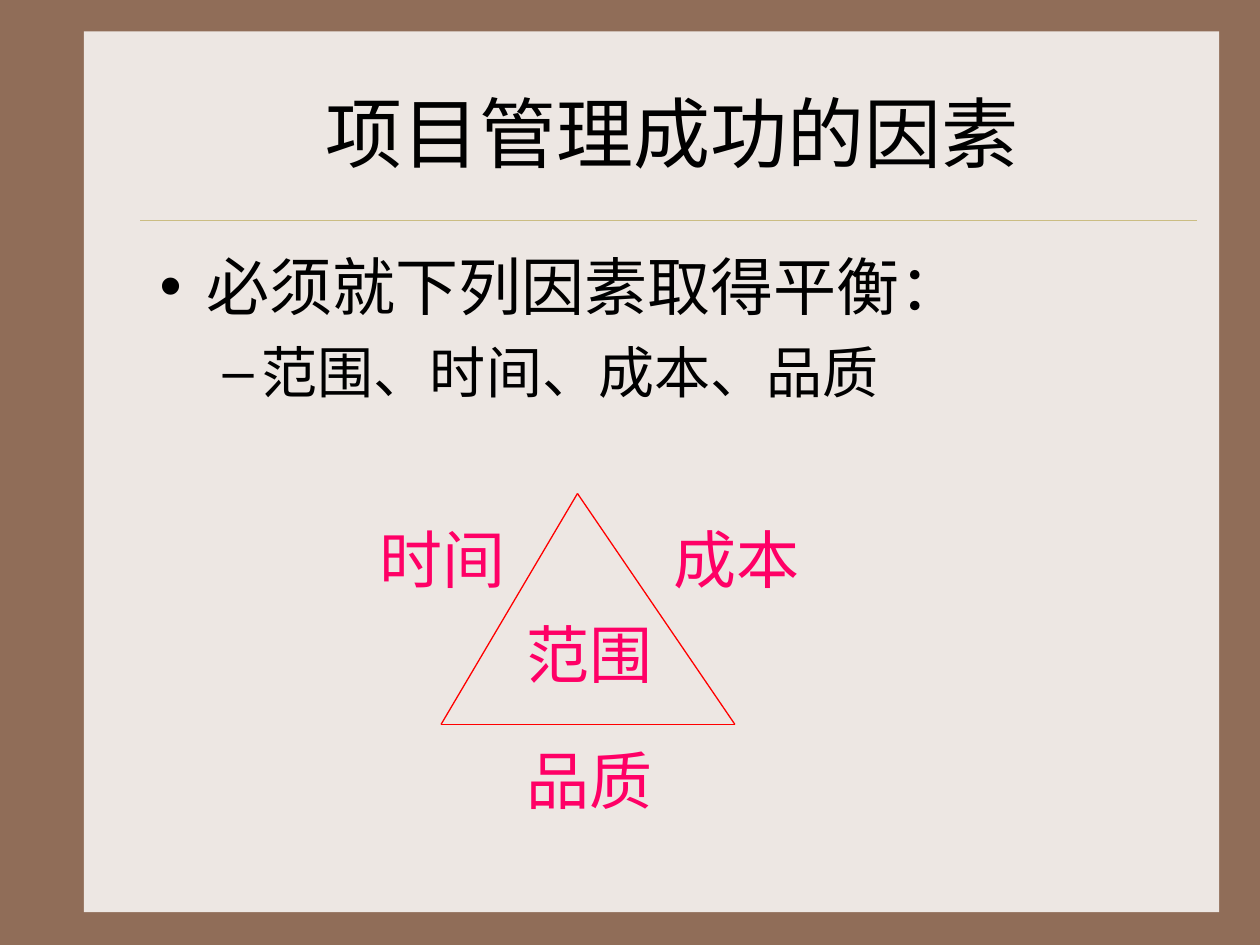
from dataclasses import dataclass
from itertools import combinations

from lxml.etree import SubElement
from pptx import Presentation
from pptx.dml.color import RGBColor
from pptx.enum.shapes import MSO_CONNECTOR, MSO_SHAPE
from pptx.enum.text import MSO_ANCHOR, MSO_AUTO_SIZE, PP_ALIGN
from pptx.oxml.ns import qn
from pptx.slide import Slide
from pptx.util import Pt

PX = 9525
BROWN = RGBColor(0x90, 0x6D, 0x58)
CREAM = RGBColor(0xED, 0xE7, 0xE3)
GOLD = RGBColor(0xCB, 0xBD, 0x83)
BLACK = RGBColor(0, 0, 0)
RED = RGBColor(0xFF, 0, 0)
PINK = RGBColor(0xFF, 0, 0x66)


def emu(*lengths):
    return [length * PX for length in lengths]


@dataclass
class Painter:
    """Draws the elements of one page in a shared style."""

    page: Slide
    heading_font: str = "Noto Sans CJK SC"
    label_font: str = "Times New Roman"

    def background(self, color):
        fill = self.page.background.fill
        fill.solid()
        fill.fore_color.rgb = color

    def panel(self, bounds, color):
        shape = self.page.shapes.add_shape(MSO_SHAPE.RECTANGLE, *emu(*bounds))
        shape.shadow.inherit = False
        shape.fill.solid()
        shape.fill.fore_color.rgb = color
        shape.line.fill.background()

    def line(self, start, end, color, width):
        connector = self.page.shapes.add_connector(
            MSO_CONNECTOR.STRAIGHT, *emu(*start, *end))
        connector.line.color.rgb = color
        connector.line.width = Pt(width)
        SubElement(connector._element.spPr, qn("a:effectLst"))

    def set_text(self, paragraph, text, font, size, color):
        paragraph.text = text
        paragraph.font.name = font
        paragraph.font.size = Pt(size)
        paragraph.font.color.rgb = color

    def placeholder(self, index, bounds):
        shape = self.page.placeholders[index]
        shape.left, shape.top, shape.width, shape.height = emu(*bounds)
        self.page.shapes._spTree.append(shape._element)
        shape.text_frame.auto_size = MSO_AUTO_SIZE.NONE
        return shape.text_frame

    def title(self, text, bounds):
        frame = self.placeholder(0, bounds)
        frame.vertical_anchor = MSO_ANCHOR.MIDDLE
        paragraph = frame.paragraphs[0]
        paragraph.alignment = PP_ALIGN.CENTER
        self.set_text(paragraph, text, self.heading_font, 44, BLACK)

    def bullets(self, items, bounds):
        frame = self.placeholder(1, bounds)
        for position, (text, level, mark, margin, hang, size, space) in enumerate(items):
            paragraph = frame.add_paragraph() if position else frame.paragraphs[0]
            paragraph.level = level
            paragraph.space_before = Pt(space)
            properties = paragraph._p.get_or_add_pPr()
            properties.set("marL", str(margin * PX))
            properties.set("indent", str(-hang * PX))
            SubElement(properties, qn("a:buChar"), char=mark)
            self.set_text(paragraph, text, self.heading_font, size, BLACK)

    def label(self, text, left, top, width):
        box = self.page.shapes.add_textbox(*emu(left, top, width, 67))
        frame = box.text_frame
        frame.word_wrap = True
        frame.auto_size = MSO_AUTO_SIZE.SHAPE_TO_FIT_TEXT
        self.set_text(frame.paragraphs[0], text, self.label_font, 36, PINK)


def main():
    deck = Presentation()
    deck.slide_width, deck.slide_height = emu(960, 720)
    painter = Painter(deck.slides.add_slide(deck.slide_layouts[1]))

    painter.background(BROWN)
    painter.panel((64, 24, 865, 671), CREAM)
    painter.line((107, 168), (912, 168), GOLD, 0.25)
    painter.title("项目管理成功的因素", (112, 40, 800, 120))
    painter.bullets([
        ("必须就下列因素取得平衡：", 0, "•", 36, 36, 36, 0),
        ("范围、时间、成本、品质", 1, "–", 78, 30, 32, 8),
    ], (112, 184, 769, 432))

    corners = [(440, 376), (560, 552), (336, 552)]
    for start, end in combinations(corners, 2):
        painter.line(start, end, RED, 0.75)

    for text, left, top, width in [
        ("时间", 280, 392, 152),
        ("成本", 504, 392, 128),
        ("品质", 392, 560, 152),
        ("范围", 392, 464, 136),
    ]:
        painter.label(text, left, top, width)

    deck.save("out.pptx")


if __name__ == "__main__":
    main()
